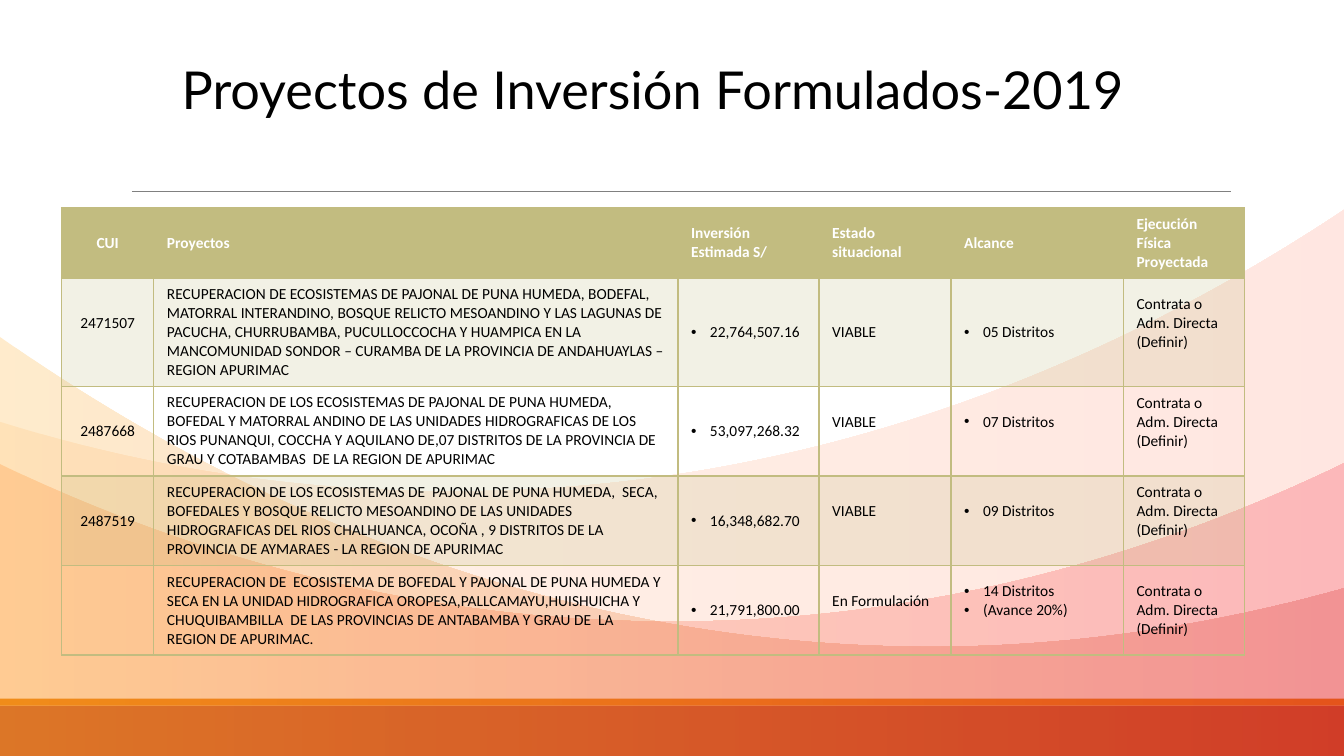
from dataclasses import dataclass

from lxml.etree import SubElement
from pptx import Presentation
from pptx.dml.color import RGBColor
from pptx.enum.shapes import MSO_CONNECTOR, MSO_SHAPE
from pptx.enum.text import MSO_ANCHOR, MSO_AUTO_SIZE, PP_ALIGN
from pptx.oxml.ns import qn
from pptx.util import Pt

COLORS = {
    "black": "000000", "white": "FFFFFF", "olive": "C2BC80", "rule": "808080",
    "rust": "BD582C", "orange": "E48312", "peach": "FFC486", "coral": "FF866B",
    "red": "F20122", "tangerine": "FF6A00", "amber": "FF9F00", "crimson": "CC0000",
}
PAGE_WIDTH, PAGE_HEIGHT = 960, 540
OPACITY = 20
LINE_HEIGHT = 13.5
COLUMN_WIDTHS = (65.9, 374.4, 100.8, 94.3, 123.1, 86.4)
ROW_HEIGHTS = (50.4, 77.2, 64, 64, 64)
HEADERS = ("CUI", "Proyectos", "Inversión Estimada S/", "Estado situacional",
           "Alcance", "Ejecución Física Proyectada")
BULLET_COLUMNS = (2, 4)
EXECUTION = "Contrata o Adm. Directa\n(Definir)"

Point = tuple[float, float]


@dataclass(frozen=True)
class Wave:
    """Upper edge from right to left: a start, then two cubic curves of three points."""
    edge: tuple[Point, ...]
    left_color: str
    right_color: str


@dataclass(frozen=True)
class Project:
    cells: tuple[str, ...]
    raised: tuple[int, ...]  # columns whose text sits half a line higher


@dataclass(frozen=True)
class Band:
    top: float
    height: float
    color: str


BANDS = (Band(504, 36, "rust"), Band(499, 5, "orange"))

WAVES = (
    Wave(((960.5, 149.8), (766.1, 279.4), (550.1, 351.4), (323.3, 351.4),
          (212.4, 351.4), (103.7, 334.1), (-1.4, 301)), "peach", "coral"),
    Wave(((960.5, 331.2), (809.3, 403.9), (647.3, 443.5), (479.5, 443.5),
          (311.8, 443.5), (150.5, 403.9), (-1.4, 331.2)), "tangerine", "red"),
    Wave(((961.2, 419.8), (864.7, 447.1), (765.4, 461.5), (664.6, 461.5),
          (426.2, 461.5), (200.9, 382.3), (-1.4, 240.5)), "amber", "crimson"),
)

PROJECTS = (
    Project(("2471507",
             "RECUPERACION DE ECOSISTEMAS DE PAJONAL DE PUNA HUMEDA, BODEFAL,  "
             "MATORRAL INTERANDINO, BOSQUE RELICTO MESOANDINO Y LAS LAGUNAS DE "
             "PACUCHA, CHURRUBAMBA, PUCULLOCCOCHA Y HUAMPICA EN LA MANCOMUNIDAD "
             "SONDOR – CURAMBA DE LA PROVINCIA DE ANDAHUAYLAS – REGION APURIMAC",
             "22,764,507.16", "VIABLE", "05 Distritos", EXECUTION), (0, 5)),
    Project(("2487668",
             "RECUPERACION DE LOS ECOSISTEMAS DE PAJONAL DE PUNA HUMEDA, BOFEDAL Y "
             "MATORRAL ANDINO DE LAS UNIDADES HIDROGRAFICAS DE LOS RIOS PUNANQUI, "
             "COCCHA Y AQUILANO DE,07 DISTRITOS DE LA PROVINCIA DE GRAU Y "
             "COTABAMBAS  DE LA REGION DE APURIMAC",
             "53,097,268.32", "VIABLE", "07 Distritos", EXECUTION), (3, 4, 5)),
    Project(("2487519",
             "RECUPERACION DE LOS ECOSISTEMAS DE  PAJONAL DE PUNA HUMEDA,  SECA, "
             "BOFEDALES Y BOSQUE RELICTO MESOANDINO DE LAS UNIDADES HIDROGRAFICAS "
             "DEL RIOS CHALHUANCA, OCOÑA , 9 DISTRITOS DE LA PROVINCIA DE "
             "AYMARAES - LA REGION DE APURIMAC",
             "16,348,682.70", "VIABLE", "09 Distritos", EXECUTION), (3, 4, 5)),
    Project(("",
             "RECUPERACION DE  ECOSISTEMA DE BOFEDAL Y PAJONAL DE PUNA HUMEDA Y "
             "SECA EN LA UNIDAD HIDROGRAFICA OROPESA,PALLCAMAYU,HUISHUICHA Y "
             "CHUQUIBAMBILLA  DE LAS PROVINCIAS DE ANTABAMBA Y GRAU DE  LA REGION "
             "DE APURIMAC.",
             "21,791,800.00", "En Formulación", "14 Distritos\n(Avance 20%)",
             EXECUTION), (3, 4)),
)


def rgb(name: str) -> RGBColor:
    return RGBColor.from_string(COLORS[name])


def make_translucent(element) -> None:
    for color in element.iter(qn("a:srgbClr")):
        SubElement(color, qn("a:alpha"), val=str(OPACITY * 1000))


def draw_band(page, band: Band) -> None:
    bar = page.shapes.add_shape(MSO_SHAPE.RECTANGLE, 0, Pt(band.top),
                                Pt(PAGE_WIDTH), Pt(band.height))
    bar.shadow.inherit = False
    bar.fill.solid()
    bar.fill.fore_color.rgb = rgb(band.color)
    bar.line.fill.background()


def bend_edge(shape, curve_count: int) -> None:
    """Turn each leading run of three straight segments into one cubic curve."""
    segments = list(shape.element.iter(qn("a:lnTo")))
    for first in range(0, 3 * curve_count, 3):
        curve, *others = segments[first:first + 3]
        curve.tag = qn("a:cubicBezTo")
        for segment in others:
            curve.append(segment[0])
            segment.getparent().remove(segment)


def draw_wave(group, wave: Wave) -> None:
    right, left = wave.edge[0][0], wave.edge[-1][0]
    builder = group.shapes.build_freeform(*wave.edge[0], scale=Pt(1))
    builder.add_line_segments([*wave.edge[1:], (left, PAGE_HEIGHT), (right, PAGE_HEIGHT)])
    shape = builder.convert_to_shape()
    bend_edge(shape, 2)
    shape.shadow.inherit = False
    shape.line.fill.background()
    shape.fill.gradient()
    shape.fill.gradient_angle = 0
    for stop, color in zip(shape.fill.gradient_stops,
                           (wave.left_color, wave.right_color)):
        stop.color.rgb = rgb(color)
    make_translucent(shape.element.spPr)


def draw_rule(page) -> None:
    rule = page.shapes.add_connector(MSO_CONNECTOR.STRAIGHT, Pt(94.3), Pt(136.5),
                                     Pt(879), Pt(136.5))
    rule.line.color.rgb = rgb("rule")
    rule.line.width = Pt(0.5)
    SubElement(rule.element.spPr, qn("a:effectLst"))


def place_title(page, text: str) -> None:
    title = page.shapes.title
    title.left, title.top, title.width, title.height = Pt(50.4), Pt(38), Pt(831.6), Pt(47.5)
    frame = title.text_frame
    frame.text = text
    frame.auto_size = MSO_AUTO_SIZE.NONE
    frame.vertical_anchor = MSO_ANCHOR.BOTTOM
    frame.margin_left = frame.margin_right = frame.margin_top = frame.margin_bottom = 0
    paragraph = frame.paragraphs[0]
    paragraph.alignment = PP_ALIGN.CENTER
    paragraph.font.name, paragraph.font.size = "Lato", Pt(37.3)
    paragraph.font.color.rgb = rgb("black")


def add_borders(cell, header: bool) -> None:
    properties = cell._tc.get_or_add_tcPr()
    for side in "LRTB":
        width = Pt(2 if header and side == "B" else 1)
        line = SubElement(properties, qn(f"a:ln{side}"), w=str(width))
        fill = SubElement(line, qn("a:solidFill"))
        SubElement(fill, qn("a:srgbClr"), val=COLORS["olive"])


def add_bullet(paragraph) -> None:
    properties = paragraph._p.get_or_add_pPr()
    properties.set("marL", str(Pt(13.5)))
    properties.set("indent", str(-Pt(13.5)))
    SubElement(properties, qn("a:buFont"), typeface="Arial")
    SubElement(properties, qn("a:buChar"), char="•")


def fill_cell(cell, text: str, row: int, column: int, raised: bool) -> None:
    header = row == 0
    add_borders(cell, header)
    if row % 2 or header:
        cell.fill.solid()
        cell.fill.fore_color.rgb = rgb("olive")
        if not header:
            make_translucent(cell._tc.tcPr.find(qn("a:solidFill")))
    else:
        cell.fill.background()
    cell.vertical_anchor = MSO_ANCHOR.MIDDLE
    cell.margin_left = cell.margin_right = Pt(9.4)
    cell.margin_top = Pt(4.7)
    cell.margin_bottom = Pt(4.7 + (LINE_HEIGHT if raised else 0))
    cell.text_frame.text = text
    for paragraph in cell.text_frame.paragraphs:
        paragraph.alignment = PP_ALIGN.CENTER if column == 0 else PP_ALIGN.LEFT
        if column in BULLET_COLUMNS and not header:
            add_bullet(paragraph)
        paragraph.font.name, paragraph.font.size = "Calibri", Pt(11)
        paragraph.font.bold = header
        paragraph.font.color.rgb = rgb("white" if header else "black")


def draw_table(page) -> None:
    rows = (Project(HEADERS, ()),) + PROJECTS
    table = page.shapes.add_table(len(rows), len(HEADERS), Pt(44), Pt(148.3),
                                  Pt(sum(COLUMN_WIDTHS)), Pt(sum(ROW_HEIGHTS))).table
    table.horz_banding = False
    for column, width in zip(table.columns, COLUMN_WIDTHS):
        column.width = Pt(width)
    for row, (project, height) in enumerate(zip(rows, ROW_HEIGHTS)):
        table.rows[row].height = Pt(height)
        for column, text in enumerate(project.cells):
            fill_cell(table.cell(row, column), text, row, column, column in project.raised)


def main() -> None:
    deck = Presentation()
    deck.slide_width, deck.slide_height = Pt(PAGE_WIDTH), Pt(PAGE_HEIGHT)
    page = deck.slides.add_slide(deck.slide_layouts[5])
    for band in BANDS:
        draw_band(page, band)
    draw_rule(page)
    waves = page.shapes.add_group_shape()
    for wave in WAVES:
        draw_wave(waves, wave)
    draw_table(page)
    place_title(page, "Proyectos de Inversión Formulados-2019")
    deck.save("out.pptx")


if __name__ == "__main__":
    main()
